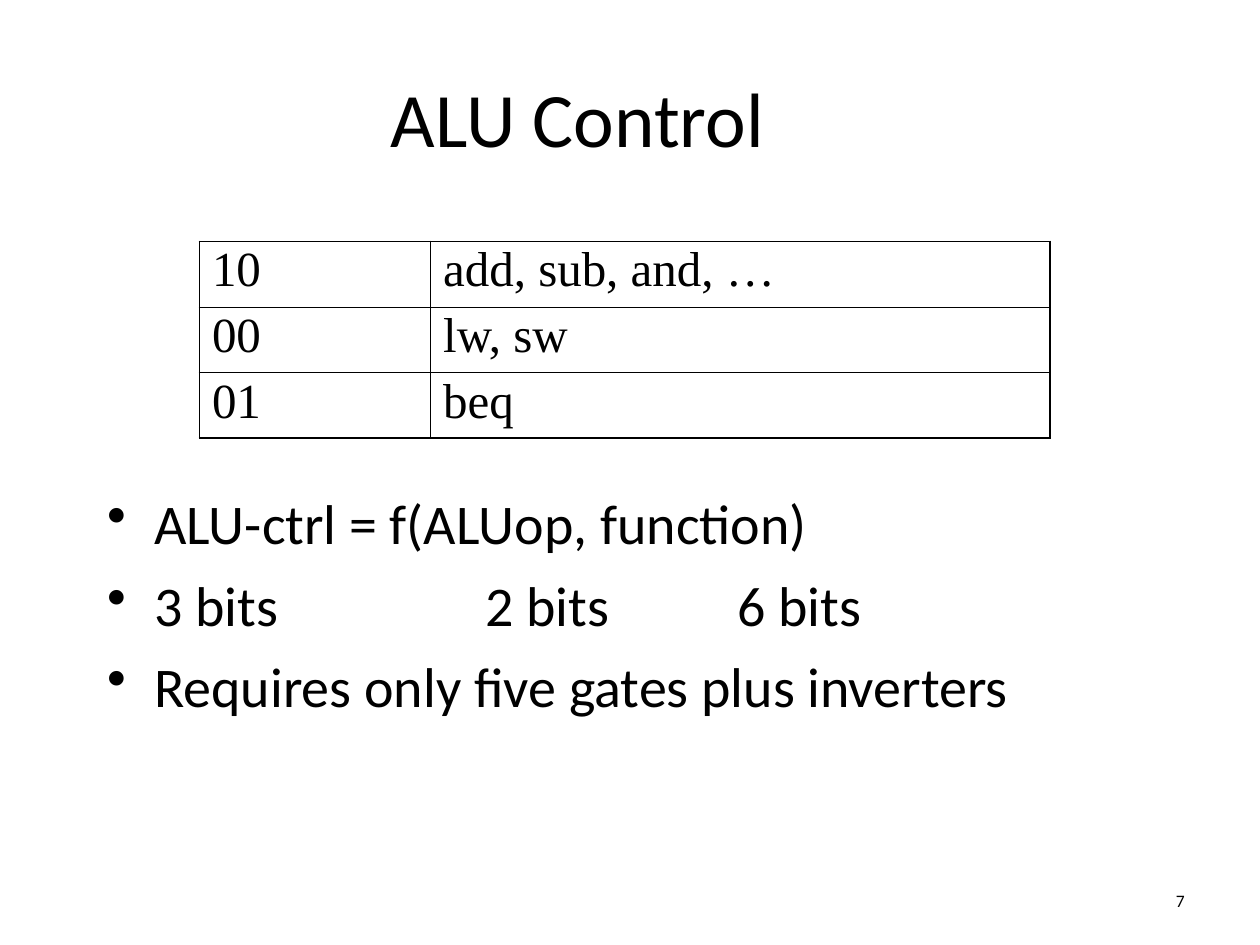
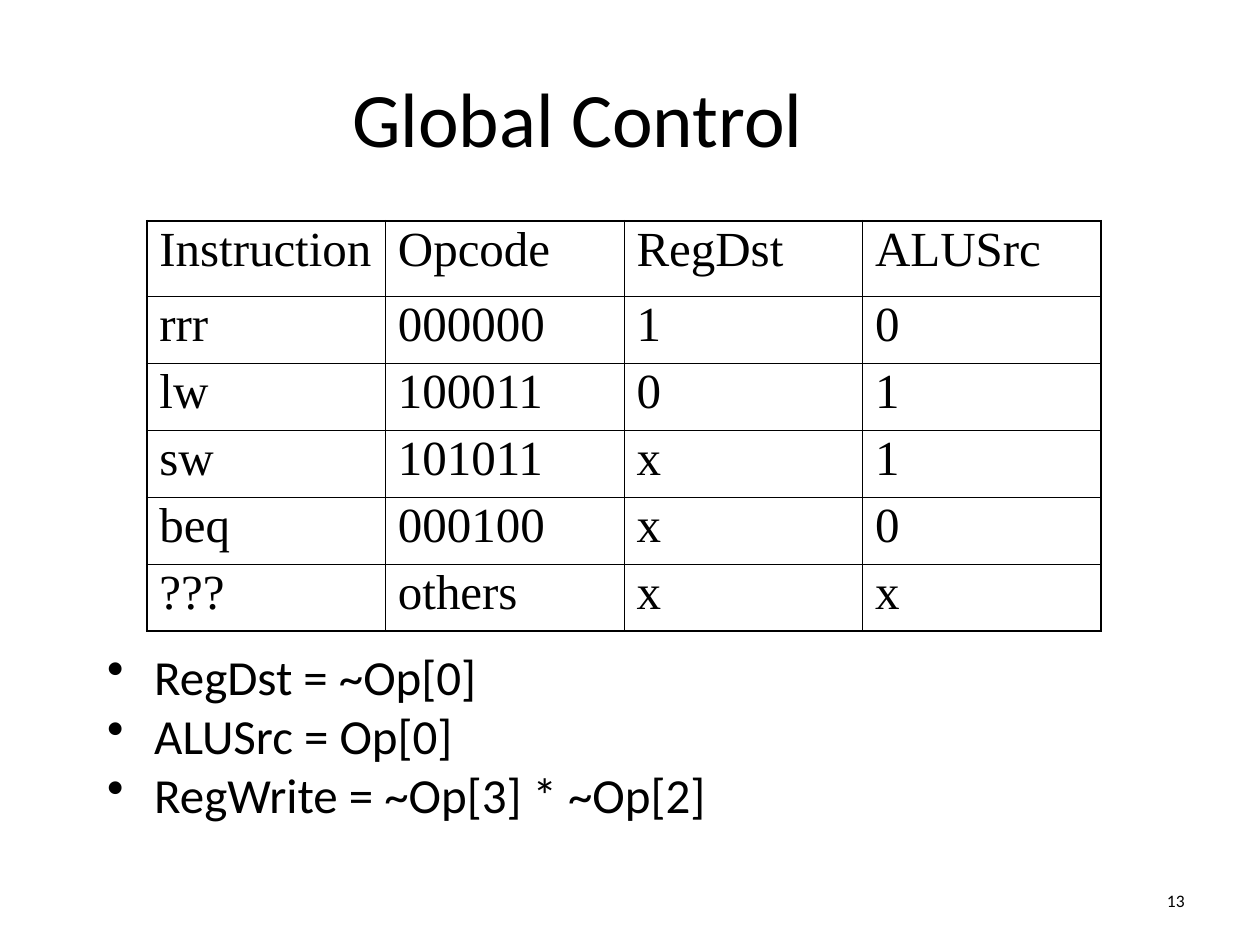
from lxml import etree
from pptx import Presentation
from pptx.dml.color import RGBColor
from pptx.enum.text import MSO_ANCHOR, PP_ALIGN
from pptx.oxml.ns import qn
from pptx.util import Cm, Pt

MIDDLE = MSO_ANCHOR.MIDDLE
LEFT, CENTER, RIGHT = PP_ALIGN.LEFT, PP_ALIGN.CENTER, PP_ALIGN.RIGHT
INK = "000000"
SANS, SERIF = "Calibri", "Times New Roman"
THIN, THICK = Pt(0.45), Pt(1.08)
TITLE_BOX = (1.27, 0.76, 20.75, 3.18)
PAGE_BOX = (21.17, 17.65, 2.96, 1.02)
HANG = Cm(0.95)
STOPS = (7.62, 12.7)

# Content: lengths in cm, text sizes and gaps in points
SLIDES = [
    {
        "title": "ALU Control", "page": "7",
        "cells": [("10", "add, sub, and, …"), ("00", "lw, sw"), ("01", "beq")],
        "at": (4.02, 4.87), "cols": [4.66, 12.49], "rows": [1.32] * 3,
        "points": ["ALU-ctrl = f(ALUop, function)",
                   "3 bits\t2 bits\t6 bits",
                   "Requires only five gates plus inverters"],
        "box": (1.91, 9.73, 21.59, 7.19), "size": 32, "gap": 8, "line": 1.0,
    },
    {
        "title": "Global Control", "page": "13",
        "cells": [("Instruction", "Opcode", "RegDst", "ALUSrc"),
                  ("rrr", "000000", "1", "0"),
                  ("lw", "100011", "0", "1"),
                  ("sw", "101011", "x", "1"),
                  ("beq", "000100", "x", "0"),
                  ("???", "others", "x", "x")],
        "at": (2.96, 4.45), "cols": [4.81] * 4, "rows": [1.52] + [1.35] * 5,
        "points": ["RegDst = ~Op[0]",
                   "ALUSrc = Op[0]",
                   "RegWrite = ~Op[3] * ~Op[2]"],
        "box": (1.91, 13.13, 21.59, 3.81), "size": 28, "gap": 7, "line": 0.8,
    },
]


def color(code):
    return RGBColor.from_string(code)


def style(para, size, face=SANS, align=LEFT):
    para.alignment = align
    font = para.font
    font.size, font.name = Pt(size), face
    font.color.rgb = color(INK)


def add_box(slide, box):
    frame = slide.shapes.add_textbox(*map(Cm, box)).text_frame
    frame.word_wrap = True
    return frame


def add_title(slide, text):
    shape = slide.shapes.title
    shape.left, shape.top, shape.width, shape.height = map(Cm, TITLE_BOX)
    frame = shape.text_frame
    frame.text = text
    frame.vertical_anchor = MIDDLE
    style(frame.paragraphs[0], 44, align=CENTER)


def add_page(slide, text):
    frame = add_box(slide, PAGE_BOX)
    frame.text = text
    frame.vertical_anchor = MIDDLE
    style(frame.paragraphs[0], 10, align=RIGHT)


def add_bullet(para):
    props = para._p.get_or_add_pPr()
    props.set("marL", str(HANG))
    props.set("indent", str(-HANG))
    etree.SubElement(props, qn("a:buChar"), char="•")
    if "\t" in para.text:
        tabs = etree.SubElement(props, qn("a:tabLst"))
        for stop in STOPS:
            etree.SubElement(tabs, qn("a:tab"), pos=str(Cm(stop)), algn="l")


def add_points(slide, data):
    frame = add_box(slide, data["box"])
    for i, text in enumerate(data["points"]):
        para = frame.add_paragraph() if i else frame.paragraphs[0]
        para.text = text
        add_bullet(para)
        para.line_spacing = data["line"]
        para.space_before = Pt(data["gap"] if i else 0)
        style(para, data["size"])


def add_border(cell, side, width):
    line = etree.SubElement(cell._tc.get_or_add_tcPr(), qn("a:ln" + side), w=str(width))
    fill = etree.SubElement(line, qn("a:solidFill"))
    etree.SubElement(fill, qn("a:srgbClr"), val=INK)


def add_grid(slide, data):
    cols, rows = data["cols"], data["rows"]
    size = (sum(cols), sum(rows))
    table = slide.shapes.add_table(len(rows), len(cols),
                                   *map(Cm, data["at"] + size)).table
    table.first_row = table.horz_banding = False
    for col, width in zip(table.columns, cols):
        col.width = Cm(width)
    for r, texts in enumerate(data["cells"]):
        table.rows[r].height = Cm(rows[r])
        for c, text in enumerate(texts):
            cell = table.cell(r, c)
            cell.text = text
            para = cell.text_frame.paragraphs[0]
            para.line_spacing = 0.9
            style(para, 28, SERIF)
            # Thick lines on the outer edge only
            edges = {"L": c == 0, "R": c == len(cols) - 1,
                     "T": r == 0, "B": r == len(rows) - 1}
            for side, outer in edges.items():
                add_border(cell, side, THICK if outer else THIN)
            cell.fill.background()


def main():
    deck = Presentation()
    deck.slide_width, deck.slide_height = Cm(25.4), Cm(19.05)
    for data in SLIDES:
        slide = deck.slides.add_slide(deck.slide_layouts[5])
        add_title(slide, data["title"])
        add_points(slide, data)
        add_grid(slide, data)
        add_page(slide, data["page"])
    deck.save("out.pptx")


if __name__ == "__main__":
    main()
